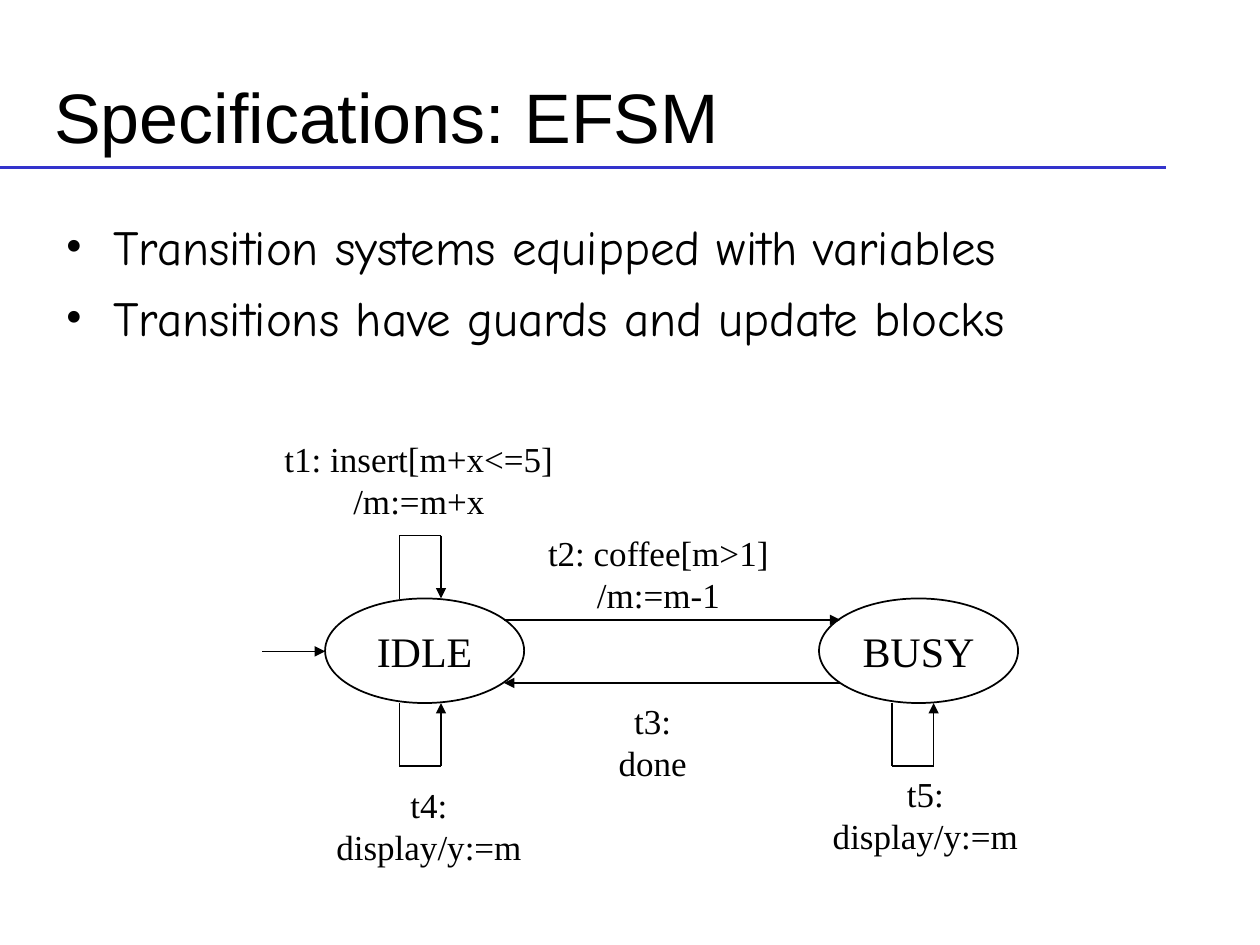
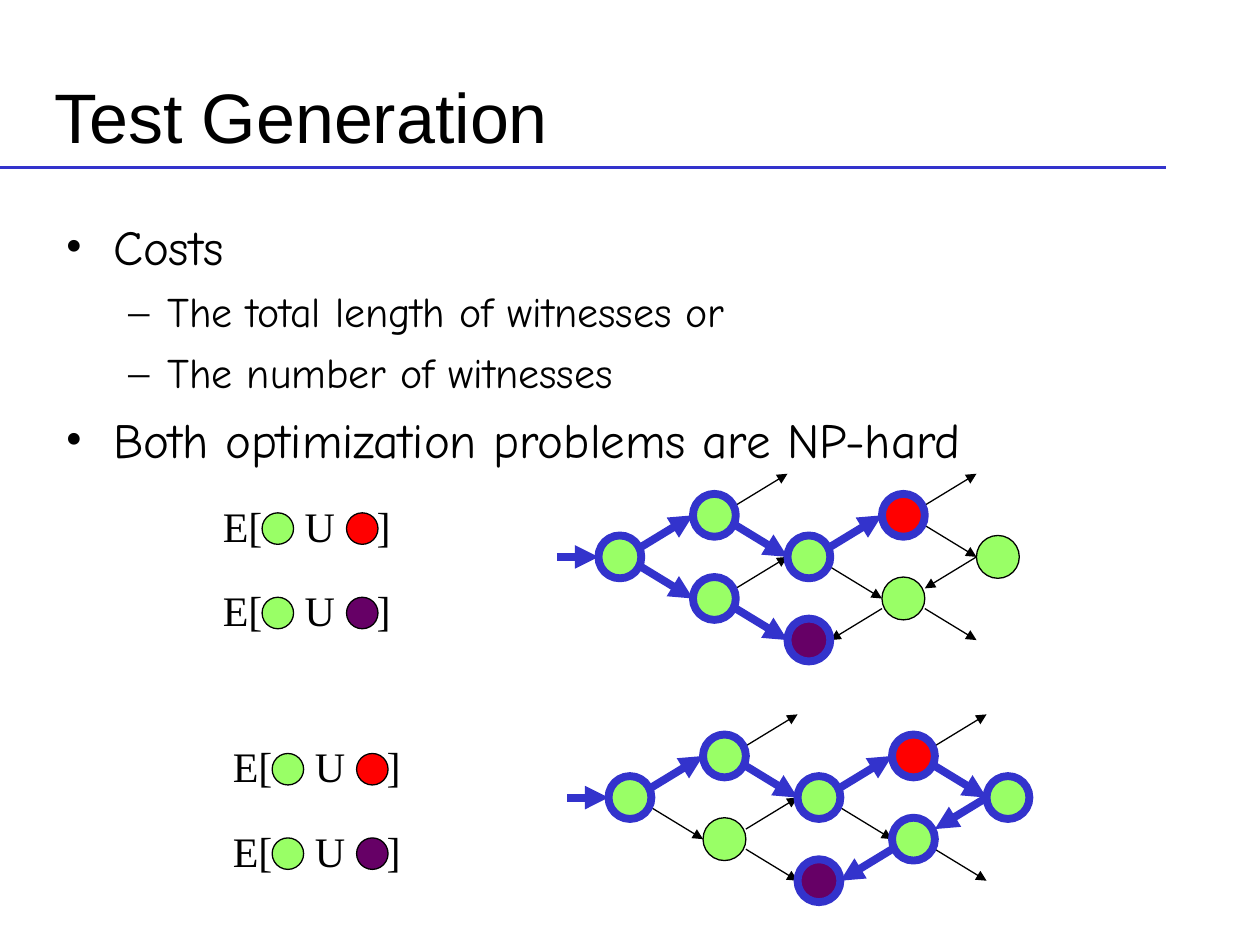
from itertools import pairwise
from lxml import etree
from pptx import Presentation
from pptx.dml.color import RGBColor
from pptx.enum import shapes, text
from pptx.oxml.ns import qn
from pptx.util import Inches, Pt

COLORS = {"ink": "000000", "accent": "3333CC", "green": "99FF66",
          "red": "FF0000", "purple": "660066"}
SANS, HAND, SERIF = "Arial", "Comic Neue", "Times New Roman"


def write(paragraph, words, size, font, align=text.PP_ALIGN.LEFT):
    paragraph.alignment = align
    run = paragraph.add_run()
    run.text = words
    run.font.size = Pt(size)
    run.font.name = font
    run.font.color.rgb = RGBColor.from_string(COLORS["ink"])


def draw_line(slide, start, end, weight=0.75, color="ink", arrow=True):
    """Draw a straight line; an arrow points at its end."""
    line = slide.shapes.add_connector(
        shapes.MSO_CONNECTOR.STRAIGHT, *(Inches(v) for v in (*start, *end)))
    line.line.width = Pt(weight)
    line.line.color.rgb = RGBColor.from_string(COLORS[color])
    properties = line.element.spPr
    if arrow:
        etree.SubElement(properties.find(qn("a:ln")), qn("a:tailEnd"), type="triangle")
    etree.SubElement(properties, qn("a:effectLst"))


prs = Presentation()
prs.slide_width, prs.slide_height = Inches(10), Inches(7.5)

# Title, rule and bullets of both slides; each bullet is (level, words)
LEVELS = [{"bullet": "•", "left": 0.38, "hang": 0.38, "size": 28, "before": 7},
          {"bullet": "–", "left": 0.81, "hang": 0.31, "size": 24, "before": 6}]
contents = [
    ("Specifications: EFSM",
     [(0, "Transition systems equipped with variables"),
      (0, "Transitions have guards and update blocks")]),
    ("Test Generation",
     [(0, "Costs"),
      (1, "The total length of witnesses or"),
      (1, "The number of witnesses"),
      (0, "Both optimization problems are NP-hard")]),
]
for heading, points in contents:
    slide = prs.slides.add_slide(prs.slide_layouts[5])
    draw_line(slide, (0, 1.33), (9.25, 1.33), 2, "accent", arrow=False)
    title = slide.shapes.title
    title.left, title.top = Inches(0.33), Inches(0.5)
    title.width, title.height = Inches(9.33), Inches(0.83)
    title.text_frame.vertical_anchor = text.MSO_ANCHOR.MIDDLE
    write(title.text_frame.paragraphs[0], heading, 40, SANS)

    body = slide.shapes.add_textbox(
        Inches(0.42), Inches(1.67), Inches(9.25), Inches(5)).text_frame
    body.word_wrap = True
    for i, (depth, words) in enumerate(points):
        level = LEVELS[depth]
        point = body.add_paragraph() if i else body.paragraphs[0]
        point.level = depth
        point.space_before = Pt(level["before"] if i else 0)
        layout = point._p.get_or_add_pPr()
        layout.set("marL", str(Inches(level["left"])))
        layout.set("indent", str(-Inches(level["hang"])))
        etree.SubElement(layout, qn("a:buFont"), typeface=SERIF)
        etree.SubElement(layout, qn("a:buChar"), char=level["bullet"])
        write(point, words, level["size"], HAND)

machine, generation = prs.slides

# State machine: states, transitions between them, self loops
for state, left in [("IDLE", 2.58), ("BUSY", 6.5)]:
    oval = machine.shapes.add_shape(
        shapes.MSO_SHAPE.OVAL, Inches(left), Inches(4.75), Inches(1.58), Inches(0.83))
    oval.shadow.inherit = False
    oval.fill.background()
    oval.line.width = Pt(1)
    oval.line.color.rgb = RGBColor.from_string(COLORS["ink"])
    oval.text_frame.word_wrap = False
    write(oval.text_frame.paragraphs[0], state, 24, SERIF, text.PP_ALIGN.CENTER)

draw_line(machine, (2.08, 5.17), (2.58, 5.17))
draw_line(machine, (4, 4.92), (6.67, 4.92), 1)
draw_line(machine, (6.67, 5.42), (4, 5.42), 1)

for left, rim, far in [(3.17, 4.75, 4.25), (3.17, 5.58, 6.08), (7.08, 5.58, 6.08)]:
    right = left + 0.33
    draw_line(machine, (left, rim), (left, far), arrow=False)
    draw_line(machine, (left, far), (right, far), arrow=False)
    draw_line(machine, (right, far), (right, rim))

transitions = [
    (2.16, 3.42, 2.33, ["t1: insert[m+x<=5]", "/m:=m+x"]),
    (4.25, 4.17, 1.95, ["t2: coffee[m>1]", "/m:=m-1"]),
    (4.63, 5.5, 1.1, ["t3: done"]),
    (2.39, 6.17, 2.03, ["t4: display/y:=m"]),
    (6.33, 6.08, 2.03, ["t5: display/y:=m"]),
]
for left, top, width, rows in transitions:
    label = machine.shapes.add_textbox(
        Inches(left), Inches(top), Inches(width), Inches(0.11 + 0.33 * len(rows))).text_frame
    label.word_wrap = False
    for i, row in enumerate(rows):
        paragraph = label.add_paragraph() if i else label.paragraphs[0]
        write(paragraph, row, 20, SERIF, text.PP_ALIGN.CENTER)

# Two copies of one graph, each with its own witnesses; nodes are (column, row)
NODES = {(0, 0): "green", (1, -1): "green", (1, 1): "green", (2, 0): "green",
         (2, 2): "purple", (3, -1): "red", (3, 1): "green", (4, 0): "green"}
FORKS = [(0, 0), (1, -1), (1, 1), (2, 0), (3, -1), (3, 1)]
EDGES = [(fork, (fork[0] + 1, fork[1] + lean)) for fork in FORKS for lean in (-1, 1)]
EDGES.append(((3, 1), (2, 2)))
BACK_EDGE = ((3, 1), (4, 0))
COLUMN, ROW, RADIUS, LEAN = 0.75, 0.33, 0.17, 0.08

graphs = [
    (4.92, 4.42, [[(0, 0), (1, -1), (2, 0), (3, -1)], [(0, 0), (1, 1), (2, 2)]]),
    (5, 6.33, [[(0, 0), (1, -1), (2, 0), (3, -1), (4, 0), (3, 1), (2, 2)]]),
]
for start_x, start_y, witnesses in graphs:
    visited = {node for witness in witnesses for node in witness}
    walked = {frozenset(step) for witness in witnesses for step in pairwise(witness)}
    circles = []  # (left, top, diameter, fill, on a witness)

    for target, top in [("red", start_y - 0.5), ("purple", start_y + 0.17)]:
        left = start_x - 3.25
        formula = generation.shapes.add_textbox(
            Inches(left), Inches(top), Inches(1.7), Inches(0.5)).text_frame
        formula.word_wrap = True
        paragraph = formula.paragraphs[0]
        tabs = etree.SubElement(paragraph._p.get_or_add_pPr(), qn("a:tabLst"))
        for stop in (0.65, 1.22):
            etree.SubElement(tabs, qn("a:tab"), pos=str(Inches(stop)), algn="l")
        write(paragraph, "E[\tU\t]", 24, SERIF)
        circles += [(left + 0.41, top + 0.15, 0.25, "green", False),
                    (left + 1.08, top + 0.15, 0.25, target, False)]

    draw_line(generation, (start_x - 0.5, start_y), (start_x - RADIUS, start_y), 4.5, "accent")
    for fork, tip in sorted(EDGES, key=lambda edge: frozenset(edge) in walked):
        side = RADIUS if tip[0] > fork[0] else -RADIUS
        lean = LEAN if tip[1] > fork[1] else -LEAN
        ends = [(start_x + COLUMN * fork[0] + side, start_y + ROW * fork[1] + lean),
                (start_x + COLUMN * tip[0] - side, start_y + ROW * tip[1])]
        if (fork, tip) == BACK_EDGE:
            ends.reverse()
        style = (4.5, "accent") if frozenset((fork, tip)) in walked else (0.75, "ink")
        draw_line(generation, *ends, *style)

    for (column, row), fill in NODES.items():
        circles.append((start_x + COLUMN * column - RADIUS, start_y + ROW * row - RADIUS,
                        2 * RADIUS, fill, (column, row) in visited))
    for left, top, diameter, fill, on_witness in circles:
        circle = generation.shapes.add_shape(
            shapes.MSO_SHAPE.OVAL, Inches(left), Inches(top), Inches(diameter), Inches(diameter))
        circle.shadow.inherit = False
        circle.fill.solid()
        circle.fill.fore_color.rgb = RGBColor.from_string(COLORS[fill])
        circle.line.width = Pt(4.5 if on_witness else 0.75)
        circle.line.color.rgb = RGBColor.from_string(COLORS["accent" if on_witness else "ink"])

prs.save("out.pptx")
